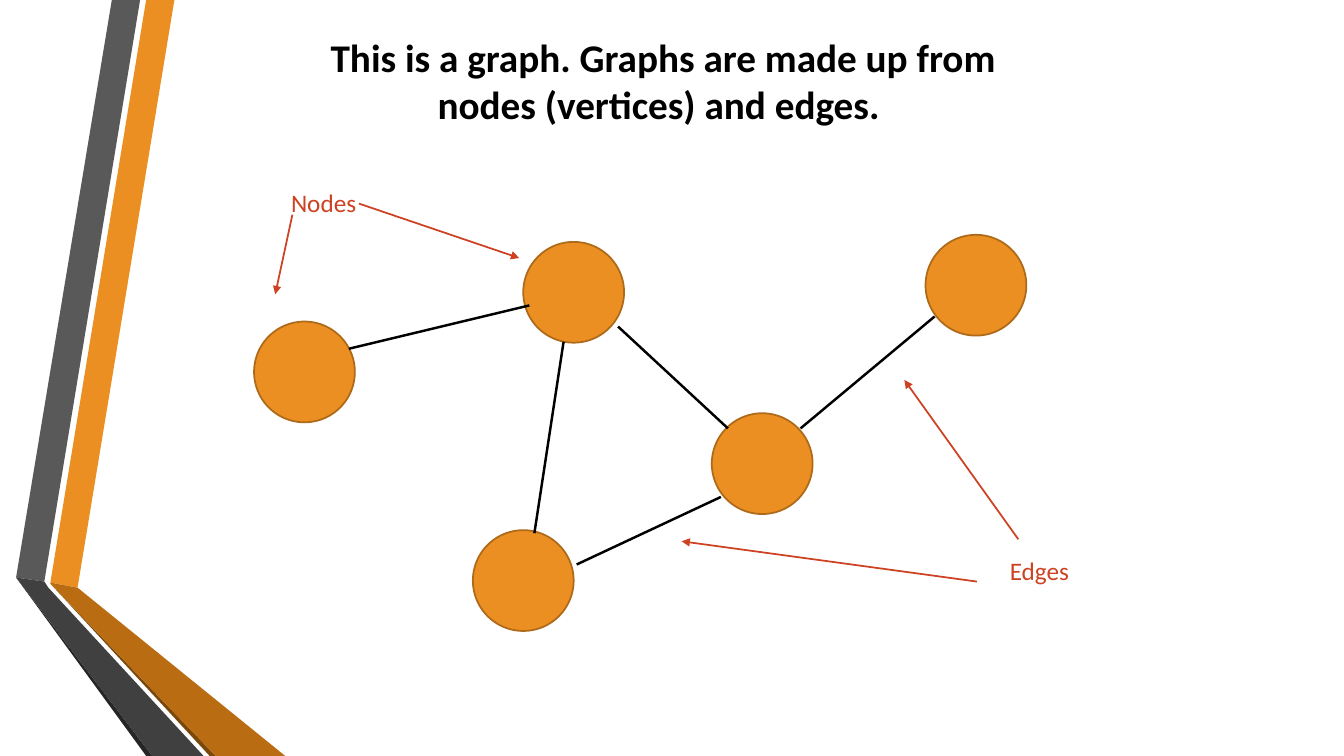
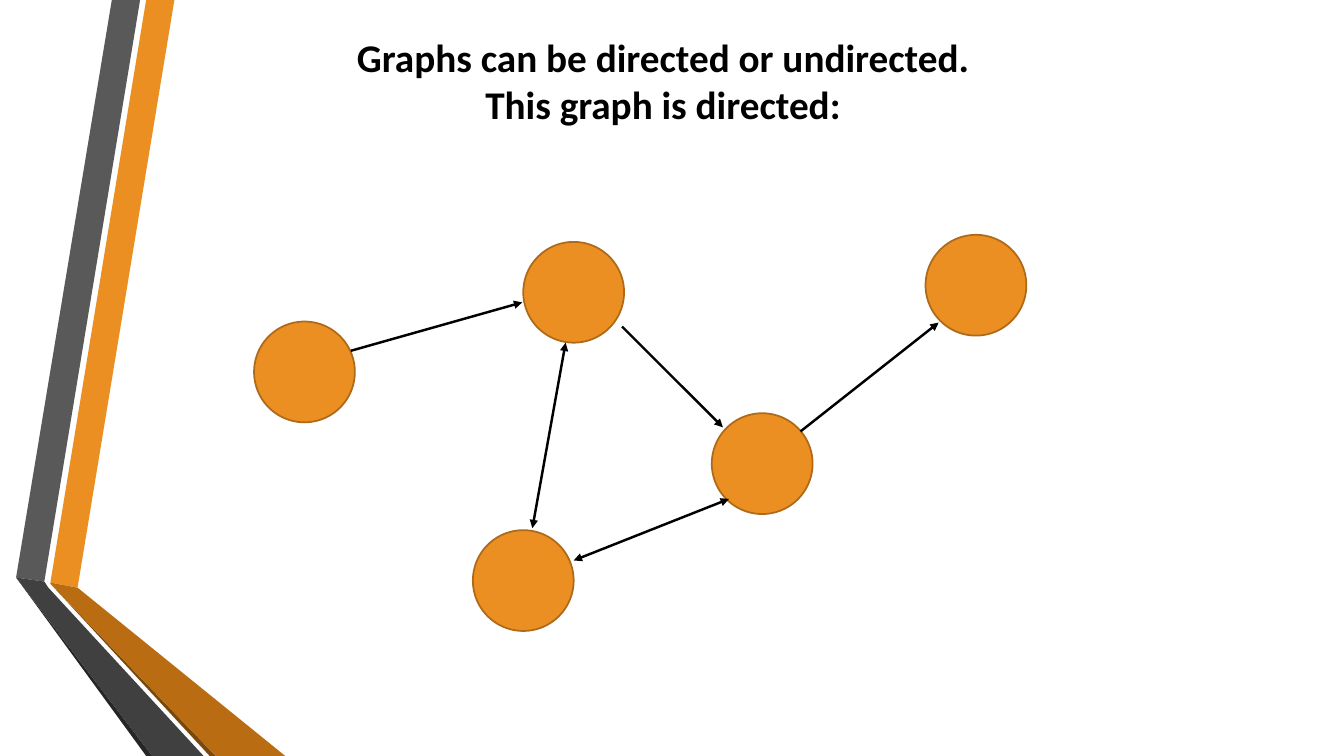
from lxml import etree
from pptx import Presentation
from pptx import util as u
from pptx.dml.color import RGBColor
from pptx.enum import shapes, text
from pptx.oxml import ns

ORANGE = RGBColor(0xEB, 0x8F, 0x22)
ORANGE_OUTLINE = RGBColor(0xAE, 0x6A, 0x19)
ORANGE_FOLD = RGBColor(0xB9, 0x6C, 0x11)
BROWN = RGBColor(0x7B, 0x48, 0x0B)
GRAY = RGBColor(0x59, 0x59, 0x59)
GRAY_FOLD = RGBColor(0x40, 0x40, 0x40)
GRAY_SHADE = RGBColor(0x26, 0x26, 0x26)
RED = RGBColor(0xCD, 0x42, 0x23)
BLACK = RGBColor(0, 0, 0)

HARD_SPACE = chr(160)
TITLE_FONT = {"name": "Calibri", "size": u.Pt(28), "bold": True}
LABEL_FONT = {"name": "Calibri", "size": u.Pt(18), "bold": False}
TOP_FRAME = {
    "word_wrap": True,
    "auto_size": text.MSO_AUTO_SIZE.NONE,
    "vertical_anchor": text.MSO_ANCHOR.TOP,
}

RIBBONS = [
    (ORANGE, [(0.5, 5.78), (0.77, 5.83), (1.73, 0), (1.45, 0)]),
    (GRAY, [(1.39, 0), (1.11, 0), (0.16, 5.73), (0.44, 5.77)]),
    (GRAY_SHADE, [(0.16, 5.73), (1.45, 7.5), (1.51, 7.5)]),
    (BROWN, [(0.5, 5.79), (2.08, 7.5), (2.14, 7.5)]),
    (ORANGE_FOLD, [(0.5, 5.78), (0.5, 5.79), (2.14, 7.5), (2.83, 7.5), (0.77, 5.83)]),
    (GRAY_FOLD, [(2.02, 7.5), (0.48, 5.83), (0.44, 5.77), (0.16, 5.73), (1.51, 7.5)]),
]

NODE_SIZE = 1
NODES = [(2.52, 3.19), (5.19, 2.4), (7.06, 4.1), (9.18, 2.33), (4.69, 5.26)]

UNDIRECTED_EDGES = [
    ((6.13, 3.24), (7.22, 4.25)),
    ((3.46, 3.46), (5.25, 3.03)),
    ((5.59, 3.39), (5.3, 5.29)),
    ((5.72, 5.6), (7.15, 4.93)),
    ((9.27, 3.14), (7.94, 4.25)),
]
ONE_WAY_EDGES = [
    ((6.17, 3.24), (7.17, 4.24)),
    ((7.94, 4.28), (9.31, 3.2)),
    ((3.48, 3.48), (5.18, 3)),
]
TWO_WAY_EDGES = [
    ((5.61, 3.4), (5.28, 5.24)),
    ((7.23, 4.95), (5.69, 5.56)),
]
LABELS = [("Nodes", 1.71, 1.81), ("Edges", 8.81, 5.46)]
POINTERS = [
    ((3.56, 2.02), (5.15, 2.56)),
    ((2.9, 2.13), (2.73, 2.92)),
    ((10.1, 5.35), (8.97, 3.77)),
    ((9.69, 5.77), (6.76, 5.37)),
]


def inches(values):
    return [u.Inches(value) for value in values]


def set_values(target, values):
    for name, value in values.items():
        setattr(target, name, value)


def write_text(frame, lines, font, color):
    set_values(frame, TOP_FRAME)
    frame.text = "\n".join(lines)
    for paragraph in frame.paragraphs:
        paragraph.alignment = text.PP_ALIGN.CENTER
        set_values(paragraph.font, font)
        paragraph.font.color.rgb = color


def fill_shape(shape, color):
    shape.shadow.inherit = False
    shape.fill.solid()
    shape.fill.fore_color.rgb = color


def add_ribbons(slide):
    for color, corners in RIBBONS:
        start, *others = [inches(corner) for corner in corners]
        builder = slide.shapes.build_freeform(*start)
        builder.add_line_segments(others, close=True)
        ribbon = builder.convert_to_shape()
        fill_shape(ribbon, color)
        ribbon.line.fill.background()


def add_nodes(slide):
    for left, top in NODES:
        node = slide.shapes.add_shape(
            shapes.MSO_SHAPE.OVAL, *inches((left, top, NODE_SIZE, NODE_SIZE)))
        fill_shape(node, ORANGE)
        node.line.color.rgb = ORANGE_OUTLINE
        node.line.width = u.Pt(1.25)


def add_lines(slide, lines, color, width, arrowheads=()):
    for start, end in lines:
        line = slide.shapes.add_connector(
            shapes.MSO_CONNECTOR.STRAIGHT, *inches(start + end))
        line.line.color.rgb = color
        line.line.width = u.Pt(width)
        properties = line.line._get_or_add_ln()
        for arrowhead in arrowheads:
            etree.SubElement(properties, ns.qn(arrowhead), type="triangle")
        etree.SubElement(line._element.spPr, ns.qn("a:effectLst"))


def add_label(slide, wording, left, top):
    label = slide.shapes.add_textbox(*inches((left, top, 3, 0.4)))
    write_text(label.text_frame, [wording], LABEL_FONT, RED)


def add_graph_slide(deck, title_lines):
    slide = deck.slides.add_slide(deck.slide_layouts[5])
    add_ribbons(slide)
    add_nodes(slide)
    title = slide.shapes.title
    title.left, title.top, title.width, title.height = inches((2, 0.28, 9.15, 1.04))
    write_text(title.text_frame, title_lines, TITLE_FONT, BLACK)
    return slide


def main():
    deck = Presentation()
    deck.slide_width, deck.slide_height = inches((13.33, 7.5))

    parts = add_graph_slide(deck, [
        f"This is a graph. Graphs{HARD_SPACE}are made up from "
        f"nodes{HARD_SPACE}(vertices) and edges.{HARD_SPACE}"])
    add_lines(parts, UNDIRECTED_EDGES, BLACK, 1.75)
    for label in LABELS:
        add_label(parts, *label)
    add_lines(parts, POINTERS, RED, 1.25, ["a:tailEnd"])

    directed = add_graph_slide(deck, [
        f"Graphs{HARD_SPACE}can be directed{HARD_SPACE}or undirected.",
        "This graph is directed:"])
    add_lines(directed, ONE_WAY_EDGES, BLACK, 1.75, ["a:tailEnd"])
    add_lines(directed, TWO_WAY_EDGES, BLACK, 1.75, ["a:headEnd", "a:tailEnd"])

    deck.save("out.pptx")


if __name__ == "__main__":
    main()
